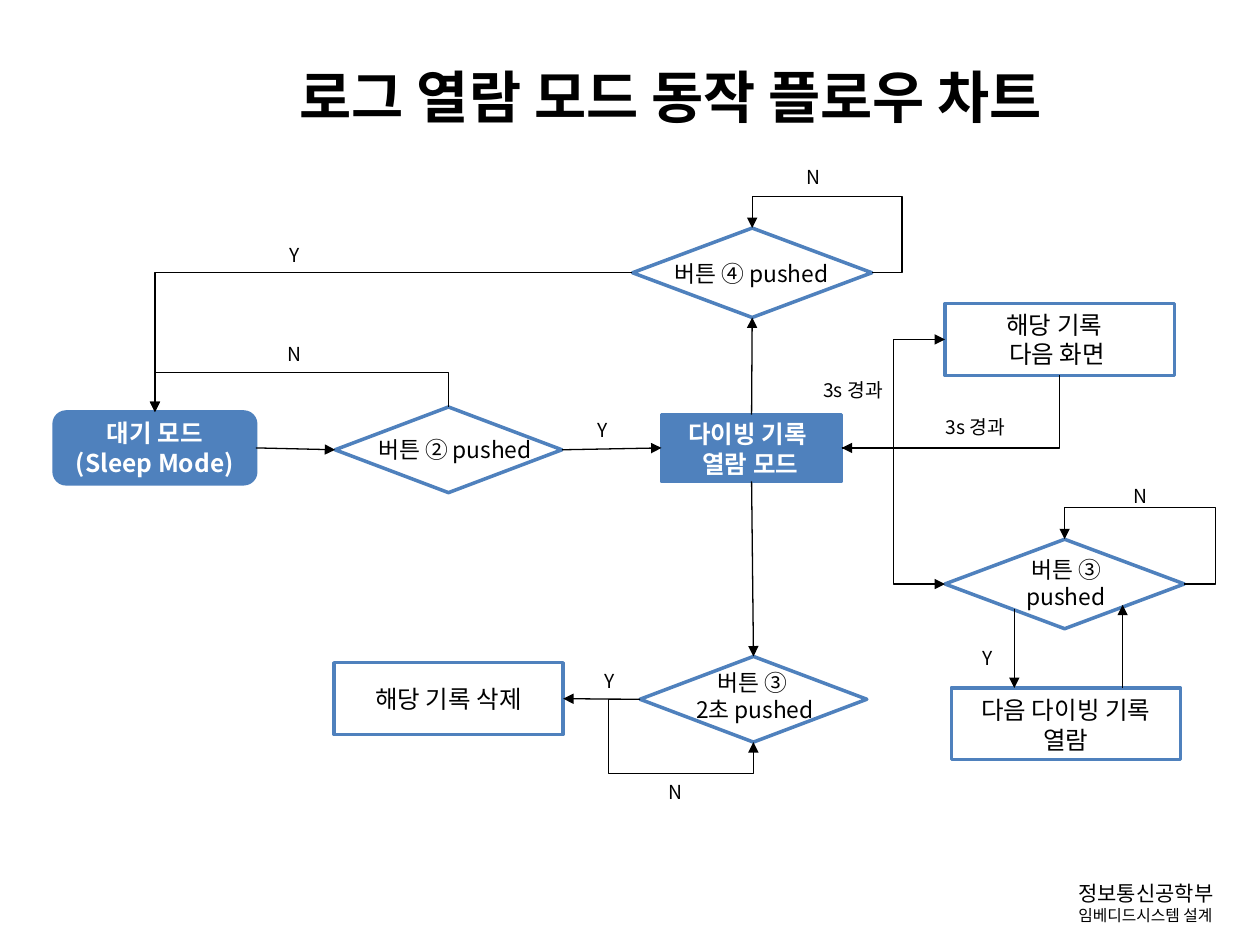
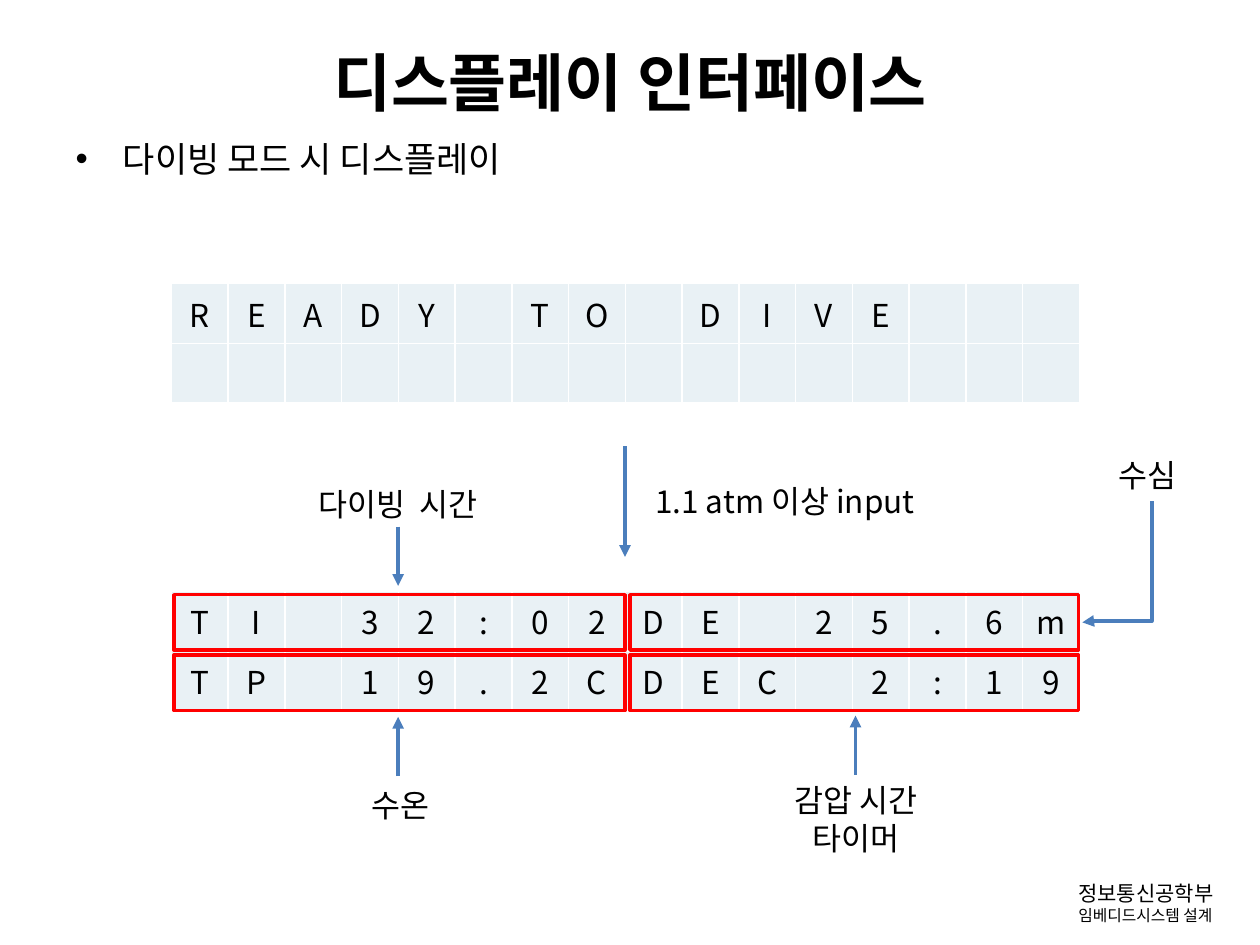
from lxml import etree
from pptx import Presentation
from pptx.dml.color import RGBColor
from pptx.enum import shapes, text
from pptx.oxml.ns import qn
from pptx.util import Inches, Pt

FONT = "Noto Sans CJK KR"
BLACK = RGBColor(0x00, 0x00, 0x00)
WHITE = RGBColor(0xFF, 0xFF, 0xFF)
BLUE = RGBColor(0x4F, 0x81, 0xBD)
ARROW_BLUE = RGBColor(0x4B, 0x7E, 0xBC)
RED = RGBColor(0xFF, 0x00, 0x00)
CELL = RGBColor(0xE9, 0xF1, 0xF5)
RECT = shapes.MSO_SHAPE.RECTANGLE
ROUND = shapes.MSO_SHAPE.ROUNDED_RECTANGLE
DIAMOND = shapes.MSO_SHAPE.DIAMOND
TOP, LEFT, BOTTOM, RIGHT = range(4)

FOOTER = [("정보통신공학부", 12), ("임베디드시스템 설계", 9)]
FOOTER_BOX = (8.46, 6.94, 1.54, 0.45)

FLOW_TITLE = "로그 열람 모드 동작 플로우 차트"
# step: (outline, fill, box)
STEPS = {
    "sleep": (ROUND, BLUE, (0.43, 3.27, 1.6, 0.57)),
    "button 2": (DIAMOND, None, (2.66, 3.23, 1.8, 0.68)),
    "log": (RECT, BLUE, (5.25, 3.29, 1.43, 0.53)),
    "button 4": (DIAMOND, None, (5.02, 1.81, 1.9, 0.71)),
    "next screen": (RECT, None, (7.5, 2.41, 1.82, 0.57)),
    "button 3": (DIAMOND, None, (7.5, 4.28, 1.9, 0.71)),
    "next log": (RECT, None, (7.55, 5.46, 1.82, 0.57)),
    "hold 3": (DIAMOND, None, (5.08, 5.21, 1.8, 0.68)),
    "delete": (RECT, None, (2.65, 5.26, 1.82, 0.57)),
}
SLEEP_TEXT = "대기 모드\n(Sleep Mode)"
# (text, box, size, colour, bold)
STEP_TEXTS = [
    ("버튼 ② pushed", (2.67, 3.41, 1.88, 0.32), 13, BLACK, False),
    ("다이빙 기록 \n열람 모드", (5.16, 3.28, 1.59, 0.57), 14, WHITE, True),
    ("버튼 ④ pushed", (5.09, 2.01, 1.75, 0.32), 13, BLACK, False),
    ("해당 기록 \n다음 화면", (7.45, 2.41, 1.88, 0.57), 14, BLACK, False),
    ("버튼 ③\npushed", (7.52, 4.36, 1.88, 0.56), 13, BLACK, False),
    ("다음 다이빙 기록 열람", (7.52, 5.47, 1.88, 0.57), 14, BLACK, False),
    ("버튼 ③ \n2초 pushed", (5.05, 5.26, 1.88, 0.54), 13, BLACK, False),
    ("해당 기록 삭제", (2.62, 5.38, 1.88, 0.34), 14, BLACK, False),
]
# (text, left, top, width)
BRANCH_LABELS = [
    ("N", 1.88, 2.67, 0.91), ("Y", 3.97, 3.27, 1.63), ("Y", 1.52, 1.88, 1.63),
    ("N", 6.13, 1.26, 0.66), ("N", 4.91, 6.14, 0.91), ("Y", 4.02, 5.26, 1.63),
    ("Y", 7.02, 5.08, 1.63), ("N", 8.6, 3.79, 0.91),
    ("3s 경과", 7.24, 3.25, 1), ("3s 경과", 6.27, 2.95, 1),
]
STRAIGHT_LINKS = [
    ("sleep", RIGHT, "button 2", LEFT), ("button 2", RIGHT, "log", LEFT),
    ("log", TOP, "button 4", BOTTOM), ("log", BOTTOM, "hold 3", TOP),
    ("hold 3", LEFT, "delete", RIGHT),
]
NEXT_LOG_ARROWS = [((8.05, 4.83), (8.05, 5.46)), ((8.91, 5.46), (8.91, 4.8))]
# (from, side, to, side, bends)
BENT_LINKS = [
    ("button 2", TOP, "sleep", TOP, [2.96]),
    ("button 4", LEFT, "sleep", TOP, []),
    ("button 4", RIGHT, "button 4", TOP, [7.16, 1.56]),
    ("button 3", RIGHT, "button 3", TOP, [9.65, 4.03]),
    ("hold 3", LEFT, "hold 3", BOTTOM, [4.83, 6.14]),
    ("log", RIGHT, "button 3", LEFT, [7.09]),
    ("log", RIGHT, "next screen", LEFT, [7.09]),
    ("next screen", BOTTOM, "log", RIGHT, []),
]

DISPLAY_TITLE = "디스플레이 인터페이스"
DISPLAY_BULLET = "다이빙 모드 시 디스플레이"
COLUMNS = 16
SCREEN_LEFT, SCREEN_WIDTH, SCREEN_HEIGHT = 1.36, 7.21, 0.95
SCREENS = [  # (top, lines of characters)
    (2.25, ["READY TO DIVE", ""]),
    (4.69, ["TI 32:02DE 25.6m", "TP 19.2CDEC 2:19"]),
]
FIELD_COLUMNS = [(1.38, 3.58), (5, 3.56)]
FIELD_TOPS, FIELD_HEIGHT = (4.72, 5.2), 0.44
FIELD_LABELS = [
    ("다이빙  시간", (2.23, 3.8, 1.86, 0.4)),
    ("감압 시간 타이머", (6.04, 6.15, 1.5, 0.71)),
    ("수온", (2.43, 6.19, 1.5, 0.4)),
    ("수심", (8.55, 3.57, 1.12, 0.4)),
    ("1.1 atm 이상 input", (4.92, 3.78, 2.62, 0.4)),
]
DISPLAY_ARROWS = [
    ((6.79, 6.15), (6.79, 5.68)), ((3.16, 4.18), (3.16, 4.65)),
    ((3.16, 6.16), (3.16, 5.69)), ((4.96, 3.54), (4.96, 4.42)),
]
DEPTH_ARROW = ((9.14, 3.98), (8.59, 4.94), [4.93])


def inches(values):
    return [Inches(v) for v in values]


def style(paragraph, size, color=BLACK, bold=False, align=text.PP_ALIGN.CENTER):
    paragraph.alignment = align
    for run in paragraph.runs:
        font = run.font
        font.size, font.bold, font.name = Pt(size), bold, FONT
        font.color.rgb = color
        east_asian = etree.SubElement(run._r.get_or_add_rPr(), qn("a:ea"))
        east_asian.set("typeface", FONT)


def add_text(slide, words, box, size, color=BLACK, bold=False):
    frame = slide.shapes.add_textbox(*inches(box)).text_frame
    frame.word_wrap = True
    frame.auto_size = text.MSO_AUTO_SIZE.SHAPE_TO_FIT_TEXT
    frame.text = words
    for paragraph in frame.paragraphs:
        style(paragraph, size, color, bold)
    return frame


def add_box(slide, outline, box, line, fill=None):
    shape = slide.shapes.add_shape(outline, *inches(box))
    shape.shadow.inherit = False
    shape.line.color.rgb = line
    shape.line.width = Pt(2)
    if fill is None:
        shape.fill.background()
    else:
        shape.fill.solid()
        shape.fill.fore_color.rgb = fill
    return shape


def add_arrow(slide, start, end, color, width, kind=shapes.MSO_CONNECTOR.STRAIGHT):
    arrow = slide.shapes.add_connector(kind, *inches(start + end))
    arrow.line.color.rgb = color
    arrow.line.width = Pt(width)
    head = etree.SubElement(arrow.line._get_or_add_ln(), qn("a:tailEnd"))
    head.set("type", "triangle")
    etree.SubElement(arrow._element.spPr, qn("a:effectLst"))
    return arrow


def add_bent_arrow(slide, start, end, bends, color, width, vertical=False):
    """Bends are slide coordinates, in turn across and along the first leg.

    A vertical first leg takes a quarter turn and runs to the lower left.
    """
    (x0, y0), (x1, y1) = start, end
    ratios = [(bend - a) / (b - a) for bend, (a, b) in
              zip(bends, [(y0, y1)] if vertical else [(x0, x1), (y0, y1)])]
    if vertical:
        mid_x, mid_y = (x0 + x1) / 2, (y0 + y1) / 2
        half_w, half_h = abs(y1 - y0) / 2, abs(x1 - x0) / 2
        start = (mid_x - half_w, mid_y - half_h)
        end = (mid_x + half_w, mid_y + half_h)
    arrow = add_arrow(slide, start, end, color, width, shapes.MSO_CONNECTOR.ELBOW)
    properties = arrow._element.spPr
    if vertical:
        properties.find(qn("a:xfrm")).set("rot", str(90 * 60000))
    geometry = properties.find(qn("a:prstGeom"))
    geometry.set("prst", f"bentConnector{2 + len(bends)}")
    guides = geometry.find(qn("a:avLst"))
    for number, ratio in enumerate(ratios, 1):
        guide = etree.SubElement(guides, qn("a:gd"))
        guide.set("name", f"adj{number}")
        guide.set("fmla", f"val {round(ratio * 100000)}")


def side_middle(step, side):
    left, top, width, height = STEPS[step][2]
    across, down = {TOP: (0.5, 0), LEFT: (0, 0.5), BOTTOM: (0.5, 1), RIGHT: (1, 0.5)}[side]
    return left + width * across, top + height * down


def new_slide(deck, layout, title, box, size):
    slide = deck.slides.add_slide(deck.slide_layouts[layout])
    heading = slide.shapes.title
    heading.left, heading.top, heading.width, heading.height = inches(box)
    frame = heading.text_frame
    frame.text = title
    frame.auto_size = text.MSO_AUTO_SIZE.NONE
    frame.vertical_anchor = text.MSO_ANCHOR.MIDDLE
    style(frame.paragraphs[0], size, bold=True)
    footer = add_text(slide, "\n".join(line for line, _ in FOOTER), FOOTER_BOX, 12)
    for paragraph, (_, points) in zip(footer.paragraphs, FOOTER):
        paragraph.alignment = text.PP_ALIGN.LEFT
        paragraph.runs[0].font.size = Pt(points)
    return slide


def add_screen(slide, top, lines):
    frame = slide.shapes.add_table(
        len(lines), COLUMNS, *inches((SCREEN_LEFT, top, SCREEN_WIDTH, SCREEN_HEIGHT)))
    table = frame.table
    table.first_row = table.horz_banding = False
    for row, line in enumerate(lines):
        for column, character in enumerate(line.ljust(COLUMNS)):
            cell = table.cell(row, column)
            cell.fill.solid()
            cell.fill.fore_color.rgb = CELL
            cell.vertical_anchor = text.MSO_ANCHOR.MIDDLE
            cell.text = character.strip()
            style(cell.text_frame.paragraphs[0], 18)


def build_flow(deck):
    slide = new_slide(deck, 5, FLOW_TITLE, (1.71, 0.5, 7.23, 0.52), 32.4)
    steps = {name: add_box(slide, outline, box, BLUE, fill)
             for name, (outline, fill, box) in STEPS.items()}
    sleep = steps["sleep"].text_frame
    sleep.text = SLEEP_TEXT
    sleep.vertical_anchor = text.MSO_ANCHOR.MIDDLE
    for paragraph in sleep.paragraphs:
        style(paragraph, 14, WHITE, True)
    for source, out_side, target, in_side in STRAIGHT_LINKS:
        arrow = add_arrow(slide, side_middle(source, out_side),
                          side_middle(target, in_side), BLACK, 0.75)
        arrow.begin_connect(steps[source], out_side)
        arrow.end_connect(steps[target], in_side)
    for start, end in NEXT_LOG_ARROWS:
        add_arrow(slide, start, end, BLACK, 0.75)
    for source, out_side, target, in_side, bends in BENT_LINKS:
        add_bent_arrow(slide, side_middle(source, out_side), side_middle(target, in_side),
                       bends, BLACK, 0.75, vertical=out_side in (TOP, BOTTOM))
    for step_text in STEP_TEXTS:
        add_text(slide, *step_text[:1], *step_text[1:])
    for label, left, top, width in BRANCH_LABELS:
        add_text(slide, label, (left, top, width, 0.29), 11)


def build_display(deck):
    slide = new_slide(deck, 1, DISPLAY_TITLE, (0.5, 0.3, 9, 0.69), 36)
    body = slide.placeholders[1]
    body.left, body.top, body.width, body.height = inches((0.5, 1.04, 9, 5.62))
    body.text_frame.text = DISPLAY_BULLET
    style(body.text_frame.paragraphs[0], 20, align=text.PP_ALIGN.LEFT)
    for top, lines in SCREENS:
        add_screen(slide, top, lines)
    for top in FIELD_TOPS:
        for left, width in FIELD_COLUMNS:
            add_box(slide, RECT, (left, top, width, FIELD_HEIGHT), RED)
    for start, end in DISPLAY_ARROWS:
        add_arrow(slide, start, end, ARROW_BLUE, 2.25)
    add_bent_arrow(slide, *DEPTH_ARROW, ARROW_BLUE, 2.25, vertical=True)
    for label, box in FIELD_LABELS:
        add_text(slide, label, box, 18)


def main():
    deck = Presentation()
    deck.slide_width, deck.slide_height = Inches(10), Inches(7.5)
    build_flow(deck)
    build_display(deck)
    deck.save("out.pptx")


if __name__ == "__main__":
    main()
